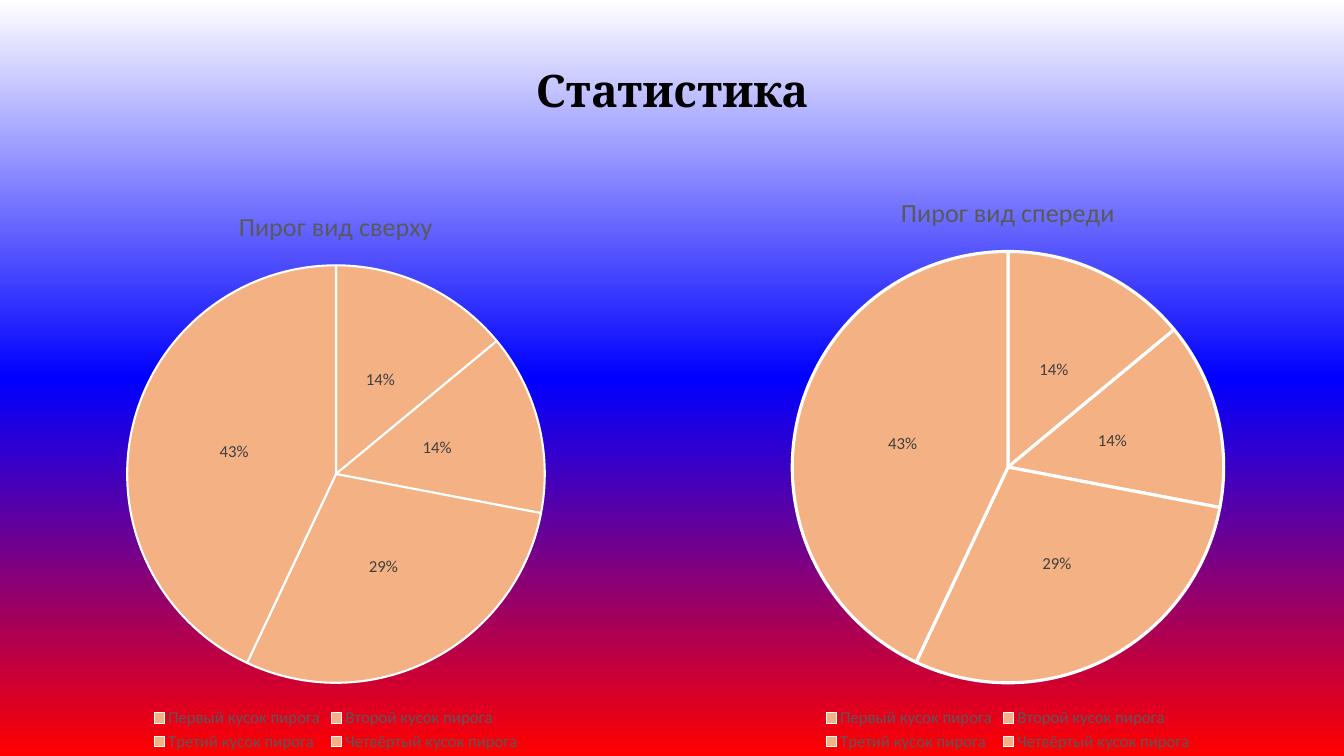
from dataclasses import dataclass

from lxml.etree import SubElement
from pptx import Presentation
from pptx.chart.data import CategoryChartData
from pptx.dml.color import RGBColor
from pptx.enum.chart import XL_CHART_TYPE, XL_LABEL_POSITION, XL_LEGEND_POSITION
from pptx.enum.text import MSO_ANCHOR, PP_ALIGN
from pptx.oxml.ns import qn
from pptx.util import Inches, Pt


@dataclass(frozen=True)
class Theme:
    heading_face: str = "Cambria"
    body_face: str = "Calibri"
    heading_size: float = 32
    caption_size: float = 18.6
    label_size: float = 12
    base_size: float = 10
    ink: str = "000000"
    muted: str = "595959"
    label: str = "404040"
    slice: str = "F4B183"
    border: str = "FFFFFF"
    backdrop: tuple = ((0, "FFFFFF"), (50, "0000FF"), (100, "FF0000"))


THEME = Theme()
WIDTH, HEIGHT = Inches(13.33), Inches(7.5)
COLUMN = WIDTH // 2
HEADING_HEIGHT = Inches(1.85)
SLICES = {
    "Первый кусок пирога": 14,
    "Второй кусок пирога": 14,
    "Третий кусок пирога": 29,
    "Четвёртый кусок пирога": 43,
}
PIES = (
    ("Пирог вид сверху", HEADING_HEIGHT, 1.5),
    ("Пирог вид спереди", Inches(1.71), 2.25),
)


def style_font(font, size, color, face=THEME.body_face, bold=False):
    font.size = Pt(size)
    font.color.rgb = RGBColor.from_string(color)
    font.name = face
    font.bold = bold


def paint_backdrop(slide):
    fill = slide.background.fill
    fill.gradient()
    fill.gradient_angle = 270
    stops = slide.element.find(".//" + qn("a:gsLst"))
    for stop in list(stops):
        stops.remove(stop)
    for percent, color in THEME.backdrop:
        stop = SubElement(stops, qn("a:gs"), pos=str(percent * 1000))
        SubElement(stop, qn("a:srgbClr"), val=color)


def place_heading(slide, text, left, top, width, height):
    heading = slide.shapes.title
    heading.left, heading.top, heading.width, heading.height = left, top, width, height
    heading.text_frame.text = text
    heading.text_frame.vertical_anchor = MSO_ANCHOR.MIDDLE
    paragraph = heading.text_frame.paragraphs[0]
    paragraph.alignment = PP_ALIGN.CENTER
    paragraph.line_spacing = 0.9
    style_font(paragraph.font, THEME.heading_size, THEME.ink, THEME.heading_face, True)


def place_pie(slide, caption, border_width, left, top, width, height):
    shares = CategoryChartData()
    shares.categories = list(SLICES)
    shares.add_series(caption, list(SLICES.values()))
    pie = slide.shapes.add_chart(
        XL_CHART_TYPE.PIE, left, top, width, height, shares
    ).chart
    style_font(pie.font, THEME.base_size, THEME.ink)

    pie.has_title = True
    pie.chart_title.text_frame.text = caption
    caption_line = pie.chart_title.text_frame.paragraphs[0]
    style_font(caption_line.font, THEME.caption_size, THEME.muted)

    pie.has_legend = True
    pie.legend.position = XL_LEGEND_POSITION.BOTTOM
    pie.legend.include_in_layout = False
    style_font(pie.legend.font, THEME.label_size, THEME.muted)

    plot = pie.plots[0]
    plot.vary_by_categories = True
    for index in range(len(SLICES)):
        piece = plot.series[0].points[index].format
        piece.fill.solid()
        piece.fill.fore_color.rgb = RGBColor.from_string(THEME.slice)
        piece.line.color.rgb = RGBColor.from_string(THEME.border)
        piece.line.width = Pt(border_width)

    labels = plot.series[0].data_labels
    labels.show_percentage = True
    labels.show_value = False
    labels.number_format = "0%"
    labels.number_format_is_linked = False
    labels.position = XL_LABEL_POSITION.CENTER
    style_font(labels.font, THEME.label_size, THEME.label)


def main():
    deck = Presentation()
    deck.slide_width, deck.slide_height = WIDTH, HEIGHT
    slide = deck.slides.add_slide(deck.slide_layouts[5])
    paint_backdrop(slide)
    place_heading(slide, "Статистика", 0, 0, WIDTH, HEADING_HEIGHT)
    for column, (caption, top, border_width) in enumerate(PIES):
        place_pie(
            slide, caption, border_width, column * COLUMN, top, COLUMN, HEIGHT - top
        )
    deck.save("out.pptx")


if __name__ == "__main__":
    main()
